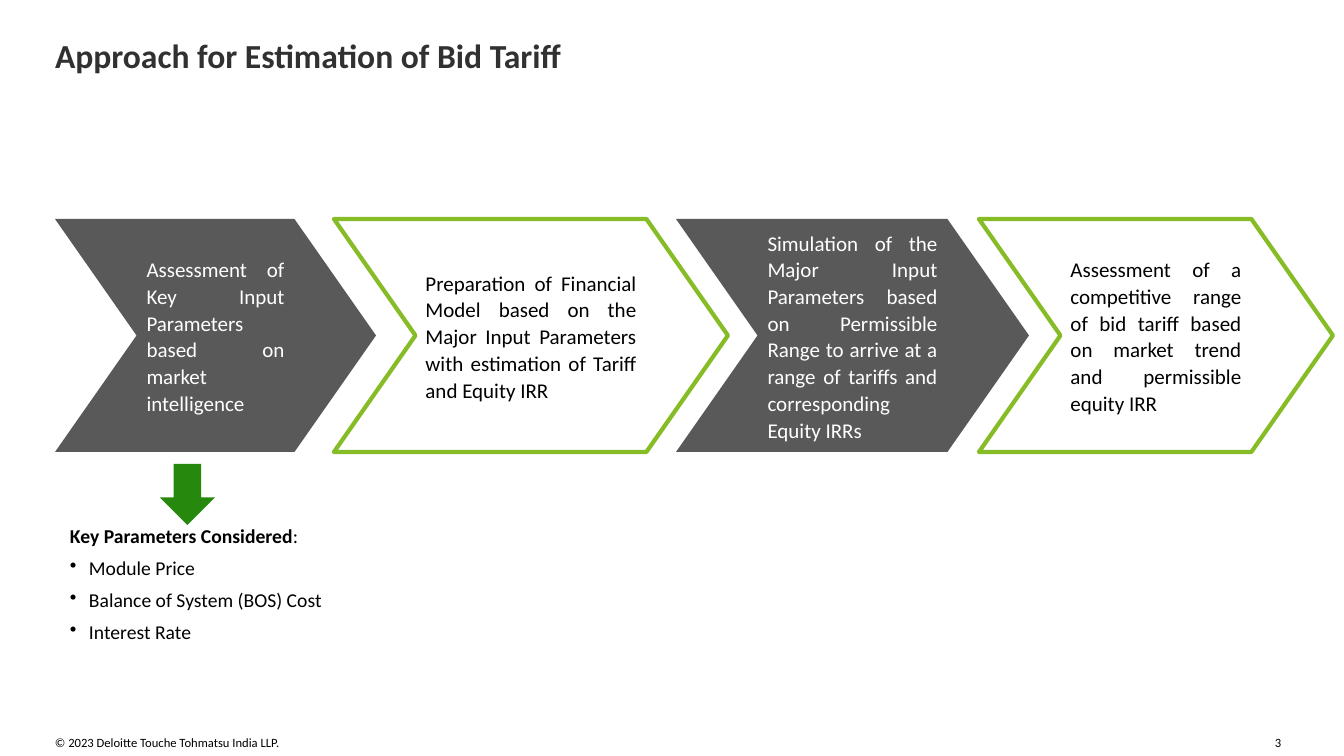
import lxml.etree
import pptx
import pptx.dml.color
import pptx.enum.shapes
import pptx.enum.text
import pptx.oxml.ns
import pptx.util

RGBColor = pptx.dml.color.RGBColor
SHAPE = pptx.enum.shapes.MSO_SHAPE
ALIGN = pptx.enum.text.PP_ALIGN
ANCHOR = pptx.enum.text.MSO_ANCHOR
Pt = pptx.util.Pt

SCALE = 914400 / 100.8
SLIDE_W, SLIDE_H = 1344, 756

BLACK = RGBColor(0x00, 0x00, 0x00)
WHITE = RGBColor(0xFF, 0xFF, 0xFF)
TITLE_GRAY = RGBColor(0x31, 0x31, 0x31)
STEP_GRAY = RGBColor(0x59, 0x59, 0x59)
LIME = RGBColor(0x86, 0xBC, 0x25)
GREEN = RGBColor(0x26, 0x89, 0x0D)

STEPS = [
    (0, 321, "Assessment of Key Input Parameters based on market intelligence"),
    (279, 394, "Preparation of Financial Model based on the Major Input Parameters "
               "with estimation of Tariff and Equity IRR"),
    (621, 353, "Simulation of the Major Input Parameters based on Permissible Range "
               "to arrive at a range of tariffs and corresponding Equity IRRs"),
    (924, 354, "Assessment of a competitive range of bid tariff based on market trend "
               "and permissible equity IRR"),
]
PARAMETERS = ["Module Price", "Balance of System (BOS) Cost", "Interest Rate"]


def px(n):
    return pptx.util.Emu(round(n * SCALE))


def apply(obj, values):
    for name, value in values.items():
        setattr(obj, name, value)


def set_frame(tf, margin=0, anchor=ANCHOR.TOP, wrap=True):
    apply(tf, {
        "margin_left": px(margin), "margin_top": px(margin),
        "margin_right": px(margin), "margin_bottom": px(margin),
        "vertical_anchor": anchor, "word_wrap": wrap,
        "auto_size": pptx.enum.text.MSO_AUTO_SIZE.NONE,
    })


def add_run(p, text, size, color=BLACK, bold=False):
    r = p.add_run()
    r.text = text
    apply(r.font, {"name": "Calibri", "size": Pt(size), "bold": bold})
    r.font.color.rgb = color


def add_text_box(slide, box, wrap=True):
    tf = slide.shapes.add_textbox(*map(px, box)).text_frame
    set_frame(tf, wrap=wrap)
    return tf


def add_solid(slide, kind, box, fill=None, line=None):
    sp = slide.shapes.add_shape(kind, *map(px, box))
    sp.shadow.inherit = False
    if fill is None:
        sp.fill.background()
    else:
        sp.fill.solid()
        sp.fill.fore_color.rgb = fill
    if line is None:
        sp.line.fill.background()
    else:
        sp.line.color.rgb = line
        sp.line.width = Pt(3)
    return sp


def add_title(slide, box):
    title = slide.shapes.title
    apply(title, dict(zip(("left", "top", "width", "height"), map(px, box))))
    tf = title.text_frame
    set_frame(tf)
    p = tf.paragraphs[0]
    p.alignment = ALIGN.LEFT
    add_run(p, "Approach for Estimation of Bid Tariff", 24, TITLE_GRAY, True)


def add_steps(slide, box):
    left, top, _, height = box
    for i, (offset, width, text) in enumerate(STEPS):
        filled = i % 2 == 0
        sp = add_solid(slide, SHAPE.CHEVRON, (left + offset, top, width, height),
                       STEP_GRAY if filled else None, None if filled else LIME)
        sp.adjustments[0] = 0.35
        set_frame(sp.text_frame, 10, ANCHOR.MIDDLE)
        p = sp.text_frame.paragraphs[0]
        apply(p, {"alignment": ALIGN.JUSTIFY, "line_spacing": 1.06})
        add_run(p, text, 15, WHITE if filled else BLACK)


def add_bullet(p, indent):
    pPr = p._p.get_or_add_pPr()
    pPr.set("marL", str(px(indent)))
    pPr.set("indent", str(-px(indent)))
    bullet = lxml.etree.SubElement(pPr, pptx.oxml.ns.qn("a:buChar"))
    bullet.set("char", "•")


def add_parameters(slide, box):
    left, top, width, height = box
    add_solid(slide, SHAPE.DOWN_ARROW, (left + 90, top, 55, 61), GREEN)
    tf = add_text_box(slide, (left, top + 60, width, height - 60))
    p = tf.paragraphs[0]
    p.space_after = Pt(6)
    add_run(p, "Key Parameters Considered", 14, bold=True)
    add_run(p, ":", 14)
    for text in PARAMETERS:
        p = tf.add_paragraph()
        p.space_after = Pt(6)
        add_bullet(p, 19)
        add_run(p, text, 14)


def add_footer(slide, box):
    left, top, width, height = box
    tf = add_text_box(slide, (left, top, 591, height))
    add_run(tf.paragraphs[0], "© 2023 Deloitte Touche Tohmatsu India LLP.", 9)
    tf = add_text_box(slide, (left + width - 15, top, 15, height), wrap=False)
    add_run(tf.paragraphs[0], "3", 9)


def main():
    prs = pptx.Presentation()
    apply(prs, {"slide_width": px(SLIDE_W), "slide_height": px(SLIDE_H)})
    slide = prs.slides.add_slide(prs.slide_layouts[5])
    add_title(slide, (55, 35, 1234, 37))
    add_steps(slide, (55, 219, 1278, 233))
    add_parameters(slide, (70, 464, 264, 184))
    add_footer(slide, (55, 735, 1235, 15))
    prs.save("out.pptx")


if __name__ == "__main__":
    main()
